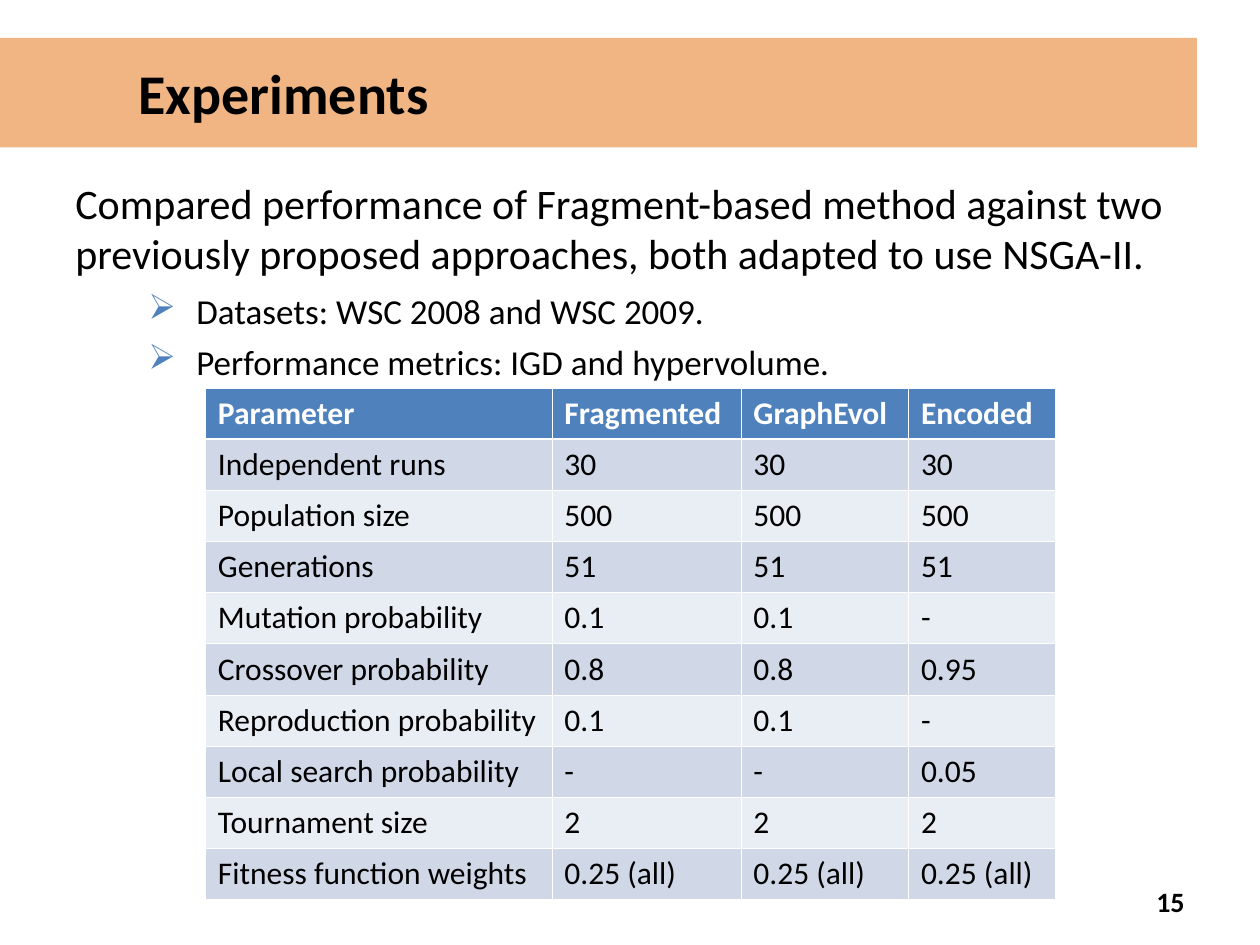
import pptx
import pptx.dml.color
import pptx.enum.shapes
import pptx.enum.text
import pptx.oxml
import pptx.oxml.ns
import pptx.util
from lxml import etree

TITLE = "Experiments"
SUMMARY = ("Compared performance of Fragment-based method against two previously "
           "proposed approaches, both adapted to use NSGA-II.")
POINTS = ["Datasets: WSC 2008 and WSC 2009.", "Performance metrics: IGD and hypervolume."]
PAGE_NUMBER = "15"
PARAMETERS = [
    ("Parameter", "Fragmented", "GraphEvol", "Encoded"),
    ("Independent runs", "30", "30", "30"),
    ("Population size", "500", "500", "500"),
    ("Generations", "51", "51", "51"),
    ("Mutation probability", "0.1", "0.1", "-"),
    ("Crossover probability", "0.8", "0.8", "0.95"),
    ("Reproduction probability", "0.1", "0.1", "-"),
    ("Local search probability", "-", "-", "0.05"),
    ("Tournament size", "2", "2", "2"),
    ("Fitness function weights", "0.25 (all)", "0.25 (all)", "0.25 (all)"),
]
COLUMN_WIDTHS = [2.75, 1.5, 1.33, 1.17]
ROW_HEIGHT = 4.06 / len(PARAMETERS)

RGBColor = pptx.dml.color.RGBColor
ORANGE = RGBColor(0xE4, 0x6C, 0x0A)
BLUE = RGBColor(0x4F, 0x81, 0xBD)
DARK_BAND = RGBColor(0xD0, 0xD8, 0xE8)
LIGHT_BAND = RGBColor(0xE9, 0xED, 0xF4)
BLACK = RGBColor(0, 0, 0)
WHITE = RGBColor(0xFF, 0xFF, 0xFF)

ALIGN = pptx.enum.text.PP_ALIGN
ANCHOR = pptx.enum.text.MSO_ANCHOR
inches = pptx.util.Inches
points = pptx.util.Pt
qn = pptx.oxml.ns.qn


def add_bullet(para, indent):
    properties = para._p.get_or_add_pPr()
    properties.set("marL", str(inches(indent)))
    properties.set("indent", str(-inches(indent)))
    colour = etree.SubElement(properties, qn("a:buClr"))
    etree.SubElement(colour, qn("a:srgbClr"), val=str(BLUE))
    etree.SubElement(properties, qn("a:buChar"), char="➢")


def write(frame, *lines, size, color=BLACK, bold=False, align=ALIGN.LEFT,
          anchor=ANCHOR.TOP, gap=0, bullet_indent=None):
    frame.word_wrap = True
    frame.vertical_anchor = anchor
    for index, line in enumerate(lines):
        para = frame.add_paragraph() if index else frame.paragraphs[0]
        if bullet_indent:
            add_bullet(para, bullet_indent)
        para.alignment = align
        para.space_before = points(gap if index else 0)
        span = para.add_run()
        span.text = line
        span.font.name = "Calibri"
        span.font.size = points(size)
        span.font.bold = bold
        span.font.color.rgb = color


def add_text(page, place, *lines, **style):
    box = page.shapes.add_textbox(*map(inches, place))
    write(box.text_frame, *lines, **style)


def add_title(page):
    banner = page.shapes.add_shape(pptx.enum.shapes.MSO_SHAPE.RECTANGLE,
                                   *map(inches, (0, 0.3, 9.5, 0.87)))
    banner.shadow.inherit = False
    banner.line.fill.background()
    banner.fill.solid()
    banner.fill.fore_color.rgb = ORANGE
    colour = banner._element.spPr.find(qn("a:solidFill"))[0]
    etree.SubElement(colour, qn("a:alpha"), val="50000")
    banner.text_frame.margin_left = inches(1.1)
    write(banner.text_frame, TITLE, size=32, bold=True, anchor=ANCHOR.MIDDLE)


def set_borders(cell, widths):
    properties = cell._tc.get_or_add_tcPr()
    for side, width in widths.items():
        line = etree.SubElement(properties, qn("a:ln" + side), w=str(points(width)))
        fill = etree.SubElement(line, qn("a:solidFill"))
        etree.SubElement(fill, qn("a:srgbClr"), val=str(WHITE))


def add_parameter_table(page):
    table = page.shapes.add_table(
        len(PARAMETERS), len(COLUMN_WIDTHS), inches(1.63), inches(3.08),
        inches(sum(COLUMN_WIDTHS)), inches(ROW_HEIGHT * len(PARAMETERS))).table
    for column, width in zip(table.columns, COLUMN_WIDTHS):
        column.width = inches(width)
    for row_index, values in enumerate(PARAMETERS):
        header = row_index == 0
        table.rows[row_index].height = inches(ROW_HEIGHT)
        band = BLUE if header else DARK_BAND if row_index % 2 else LIGHT_BAND
        borders = {"L": 0.45, "R": 0.45, "T": 1.47 if row_index == 1 else 0.45,
                   "B": 1.47 if header else 0.45}
        for column_index, value in enumerate(values):
            cell = table.cell(row_index, column_index)
            set_borders(cell, borders)
            cell.fill.solid()
            cell.fill.fore_color.rgb = band
            write(cell.text_frame, value, size=18, bold=header,
                  color=WHITE if header else BLACK)


def main():
    deck = pptx.Presentation()
    deck.slide_width, deck.slide_height = inches(10), inches(7.5)
    page = deck.slides.add_slide(deck.slide_layouts[6])
    add_title(page)
    add_text(page, (7.17, 6.95, 2.33, 0.4), PAGE_NUMBER, size=16, bold=True,
             align=ALIGN.RIGHT, anchor=ANCHOR.MIDDLE)
    add_text(page, (0.5, 1.36, 9, 1.17), SUMMARY, size=24)
    add_text(page, (1.08, 2.25, 7.42, 0.92), *POINTS, size=20, gap=5, bullet_indent=0.38)
    add_parameter_table(page)
    deck.save("out.pptx")


if __name__ == "__main__":
    main()
